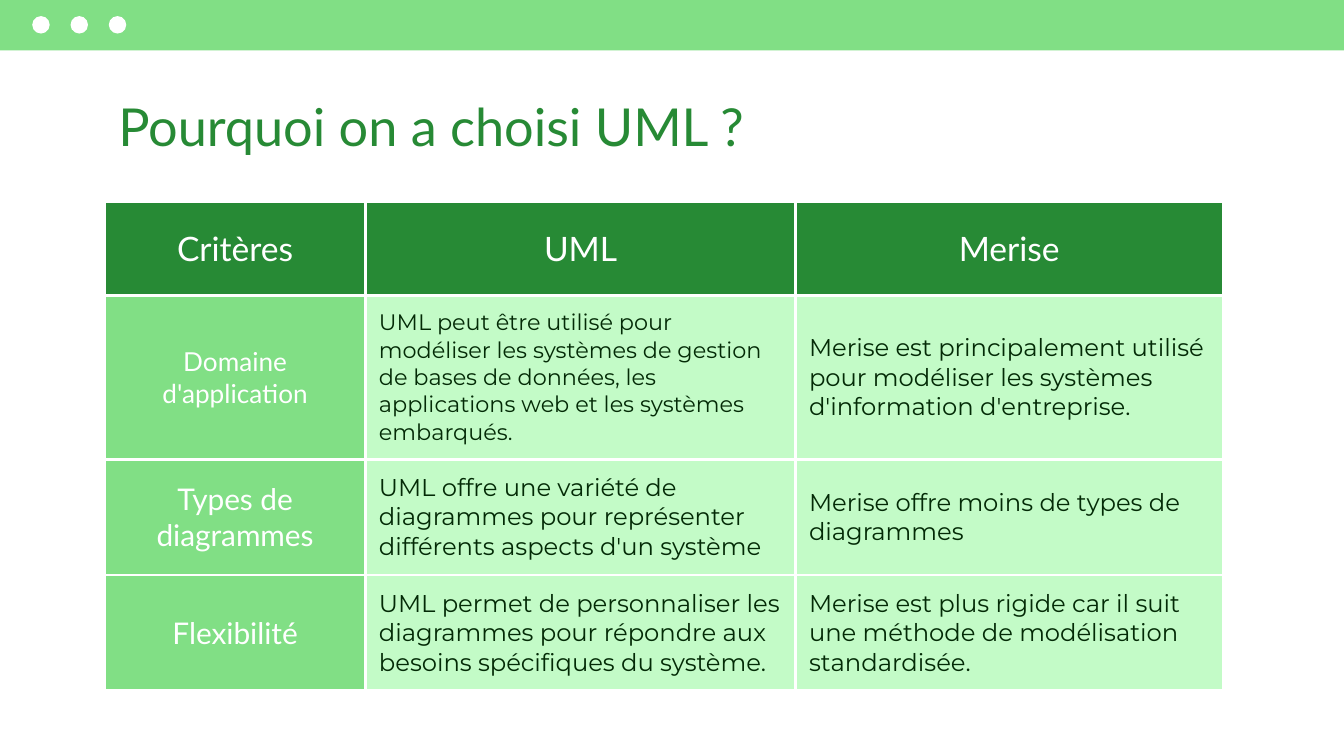
import pptx
import pptx.util
import pptx.dml.color
import pptx.enum.shapes
import pptx.enum.text
import pptx.oxml
import pptx.oxml.ns

COLORS = {
    "white": "FFFFFF",
    "bar": "81DF85",
    "dark": "278A35",
    "pale": "C3FBC7",
    "ink": "032A06",
}
COLS, ROWS = 100, 56.25
ALIGN = pptx.enum.text.PP_ALIGN
ANCHOR = pptx.enum.text.MSO_ANCHOR
SHAPE = pptx.enum.shapes.MSO_SHAPE


def rgb(name):
    return pptx.dml.color.RGBColor.from_string(COLORS[name])


def write(tf, text, size, font="Lato", color="white", align=ALIGN.LEFT):
    tf.word_wrap = True
    p = tf.paragraphs[0]
    p.alignment = align
    r = p.add_run()
    r.text = text
    r.font.size = pptx.util.Pt(size)
    r.font.name = font
    r.font.bold = False
    r.font.color.rgb = rgb(color)


class Deck:
    margin = pptx.util.Inches(0.1)
    border = pptx.util.Pt(1.5)

    def __init__(self):
        self.prs = pptx.Presentation()
        self.prs.slide_width = pptx.util.Inches(10)
        self.prs.slide_height = self.prs.slide_width * 9 // 16
        self.s = self.prs.slides.add_slide(self.prs.slide_layouts[5])

    def x(self, cols):
        return round(self.prs.slide_width * cols / COLS)

    def y(self, rows):
        return round(self.prs.slide_height * rows / ROWS)

    def box(self, left, top, width, height):
        return self.x(left), self.y(top), self.x(width), self.y(height)

    def pad(self, item):
        item.margin_left = item.margin_right = self.margin
        item.margin_top = item.margin_bottom = self.margin

    def shape(self, kind, place, color):
        sp = self.s.shapes.add_shape(kind, *self.box(*place))
        sp.shadow.inherit = False
        sp.fill.solid()
        sp.fill.fore_color.rgb = rgb(color)
        sp.line.fill.background()

    def title(self, text, place):
        sp = self.s.shapes.title
        sp.left, sp.top, sp.width, sp.height = self.box(*place)
        tf = sp.text_frame
        tf.auto_size = pptx.enum.text.MSO_AUTO_SIZE.NONE
        tf.vertical_anchor = ANCHOR.TOP
        self.pad(tf)
        write(tf, text, 28, color="dark")

    def cell(self, cell, text, fill, **fmt):
        cell.vertical_anchor = ANCHOR.MIDDLE
        self.pad(cell)
        write(cell.text_frame, text, **fmt)
        tc_pr = cell._tc.get_or_add_tcPr()
        for side in ("lnL", "lnR", "lnT", "lnB"):
            tc_pr.append(pptx.oxml.parse_xml(
                f'<a:{side} {pptx.oxml.ns.nsdecls("a")} w="{self.border}"><a:solidFill>'
                f'<a:srgbClr val="{COLORS["white"]}"/></a:solidFill></a:{side}>'))
        cell.fill.solid()
        cell.fill.fore_color.rgb = rgb(fill)

    def table(self, rows, left, top, widths, heights):
        place = self.box(left, top, sum(widths), sum(heights))
        table = self.s.shapes.add_table(len(rows), len(widths), *place).table
        table.horz_banding = False
        for column, width in zip(table.columns, widths):
            column.width = self.x(width)
        for row, height in zip(table.rows, heights):
            row.height = self.y(height)
        for i, row in enumerate(rows):
            for j, (text, size) in enumerate(row):
                if i and j:
                    fmt = dict(fill="pale", font="Montserrat", color="ink")
                else:
                    fmt = dict(fill="bar" if i else "dark", align=ALIGN.CENTER)
                self.cell(table.cell(i, j), text, size=size, **fmt)


CRITERIA = [
    [("Critères", 18), ("UML", 18), ("Merise", 18)],
    [("Domaine d'application", 14),
     ("UML peut être utilisé pour modéliser les systèmes de gestion de bases de données, "
      "les applications web et les systèmes embarqués.", 12),
     ("Merise est principalement utilisé pour modéliser les systèmes "
      "d'information d'entreprise.", 13)],
    [("Types de diagrammes", 16),
     ("UML offre une variété de diagrammes pour représenter différents aspects "
      "d'un système", 13),
     ("Merise offre moins de types de diagrammes", 13)],
    [("Flexibilité", 16),
     ("UML permet de personnaliser les diagrammes pour répondre aux besoins "
      "spécifiques du système.", 13),
     ("Merise est plus rigide car il suit une méthode de modélisation standardisée.", 13)],
]


def main():
    deck = Deck()
    deck.shape(SHAPE.RECTANGLE, (0, 0, COLS, 3.75), "bar")
    for i in range(3):
        deck.shape(SHAPE.OVAL, (2.4 + 2.85 * i, 1.2, 1.3, 1.3), "white")
    deck.title("Pourquoi on a choisi UML ?", (7.8, 6, 84.4, 5.1))
    deck.table(CRITERIA, 7.8, 15, (19.4, 32, 31.8), (7, 12.1, 8.5, 8.5))
    deck.prs.save("out.pptx")


if __name__ == "__main__":
    main()
